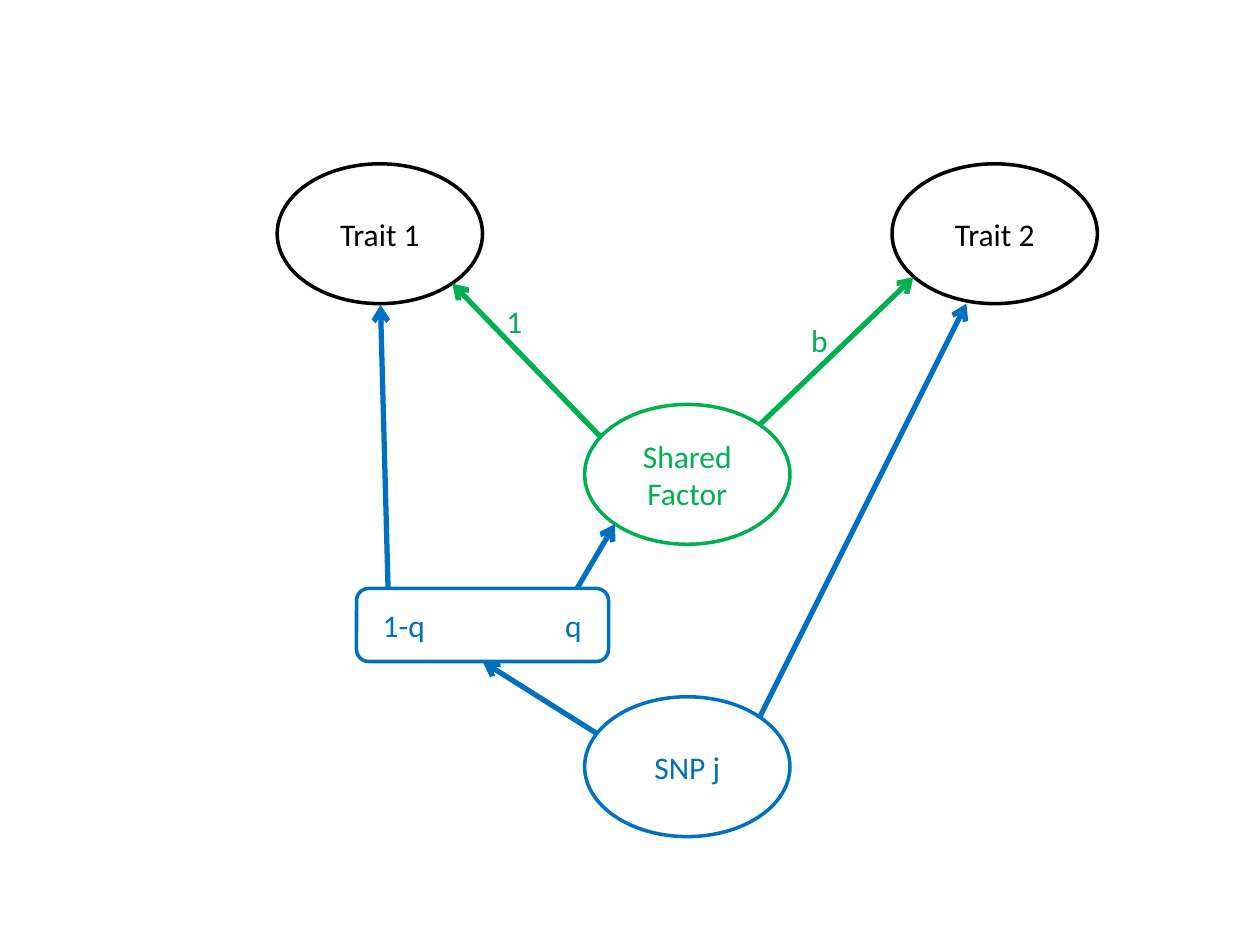
from lxml.etree import SubElement
from pptx import Presentation
from pptx.dml.color import RGBColor
from pptx.enum.shapes import MSO_CONNECTOR, MSO_SHAPE
from pptx.enum.text import MSO_ANCHOR, PP_ALIGN
from pptx.oxml.ns import qn
from pptx.util import Inches, Pt

BLACK = RGBColor(0x00, 0x00, 0x00)
WHITE = RGBColor(0xFF, 0xFF, 0xFF)
GREEN = RGBColor(0x00, 0xB0, 0x50)
BLUE = RGBColor(0x00, 0x70, 0xC0)


class PathDiagram:
    font_name = "Calibri"
    font_size = Pt(18)
    outline_width = Pt(2)
    arrow_width = Pt(3)
    node_width, node_height = 1.63, 1.11

    def __init__(self, slide):
        self.slide = slide

    def style_text(self, paragraph, color):
        font = paragraph.font
        font.name = self.font_name
        font.size = self.font_size
        font.color.rgb = color

    def outlined_shape(self, kind, left, top, width, height, color):
        shape = self.slide.shapes.add_shape(
            kind, Inches(left), Inches(top), Inches(width), Inches(height))
        shape.shadow.inherit = False
        shape.line.color.rgb = color
        shape.line.width = self.outline_width
        shape.text_frame.word_wrap = True
        shape.text_frame.vertical_anchor = MSO_ANCHOR.MIDDLE
        return shape

    def node(self, text, left, top, color):
        shape = self.outlined_shape(
            MSO_SHAPE.OVAL, left, top, self.node_width, self.node_height, color)
        shape.fill.solid()
        shape.fill.fore_color.rgb = WHITE
        paragraph = shape.text_frame.paragraphs[0]
        paragraph.text = text
        paragraph.alignment = PP_ALIGN.CENTER
        self.style_text(paragraph, color)

    def split_box(self, left_text, right_text, left, top, width, height, color):
        """Rounded box with one text at each end, set apart by a right tab."""
        shape = self.outlined_shape(
            MSO_SHAPE.ROUNDED_RECTANGLE, left, top, width, height, color)
        shape.fill.background()
        shape.text_frame.margin_left = Inches(0.18)
        paragraph = shape.text_frame.paragraphs[0]
        paragraph.text = f"{left_text}\t{right_text}"
        paragraph.alignment = PP_ALIGN.LEFT
        tab_stops = SubElement(paragraph._p.get_or_add_pPr(), qn("a:tabLst"))
        SubElement(tab_stops, qn("a:tab"), pos=str(Inches(1.58)), algn="r")
        self.style_text(paragraph, color)
        return shape

    def label(self, text, left, top, color):
        box = self.slide.shapes.add_textbox(
            Inches(left), Inches(top), Inches(0.33), Inches(0.4))
        box.text_frame.word_wrap = True
        paragraph = box.text_frame.paragraphs[0]
        paragraph.text = text
        self.style_text(paragraph, color)

    def arrow(self, start, end, color):
        connector = self.slide.shapes.add_connector(
            MSO_CONNECTOR.STRAIGHT, *(Inches(value) for value in start + end))
        connector.line.color.rgb = color
        connector.line.width = self.arrow_width
        SubElement(connector.line._get_or_add_ln(), qn("a:tailEnd"), type="arrow")
        SubElement(connector._element.spPr, qn("a:effectLst"))
        return connector


def main():
    presentation = Presentation()
    presentation.slide_width = Inches(10)
    presentation.slide_height = Inches(7.5)
    slide = presentation.slides.add_slide(presentation.slide_layouts[6])
    diagram = PathDiagram(slide)

    diagram.node("Trait 1", 2.2, 1.3, BLACK)
    diagram.node("Trait 2", 7.08, 1.3, BLACK)
    diagram.node("Shared Factor", 4.64, 3.21, GREEN)
    diagram.arrow((4.76, 3.46), (3.59, 2.25), GREEN)
    diagram.arrow((6.03, 3.37), (7.25, 2.2), GREEN)
    diagram.label("1", 3.92, 2.35, GREEN)
    diagram.label("b", 6.34, 2.5, GREEN)

    mixing_box = diagram.split_box("1-q", "q", 2.83, 4.67, 2, 0.58, BLUE)
    diagram.arrow((6.03, 5.69), (7.67, 2.41), BLUE)
    snp_to_box = diagram.arrow((4.75, 5.83), (3.83, 5.25), BLUE)
    snp_to_box.end_connect(mixing_box, 2)
    diagram.arrow((3.08, 4.67), (3.02, 2.42), BLUE)
    diagram.arrow((4.58, 4.67), (4.88, 4.16), BLUE)
    diagram.node("SNP j", 4.64, 5.53, BLUE)

    presentation.save("out.pptx")


if __name__ == "__main__":
    main()
